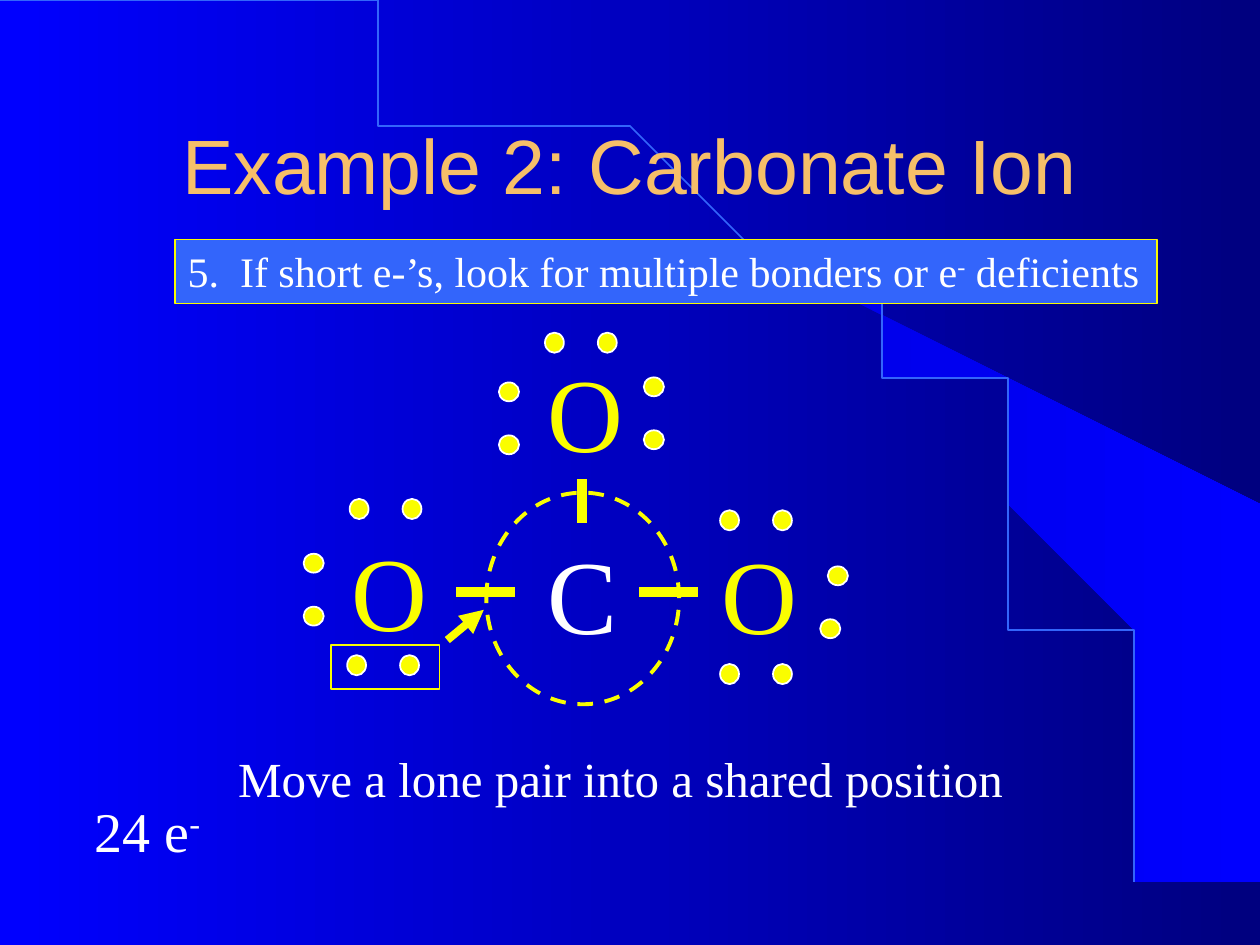
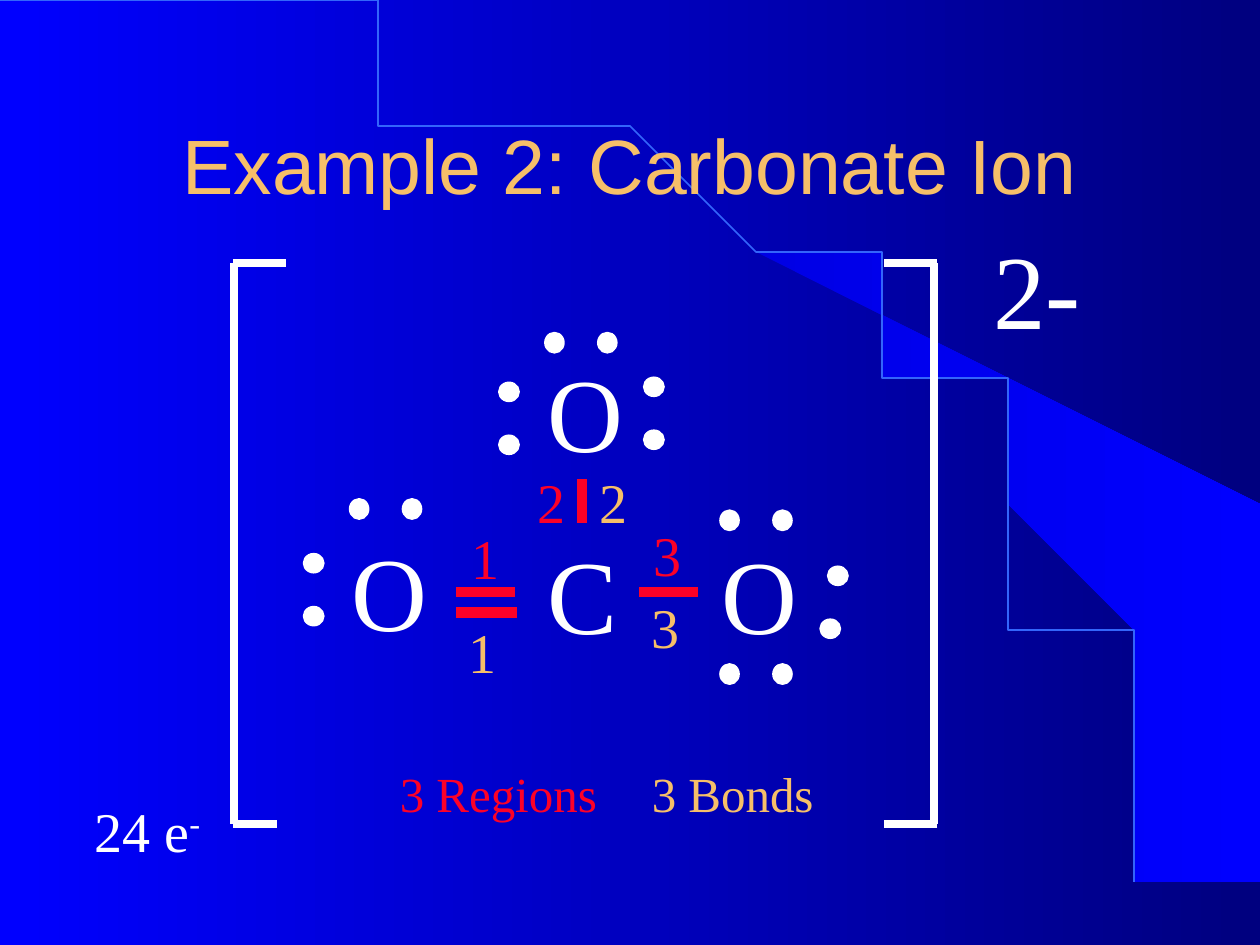
"""Build two slides on the Lewis structure of the carbonate ion."""
import pptx
import pptx.dml.color
import pptx.enum.dml
import pptx.enum.shapes
import pptx.enum.text
import pptx.oxml.ns
import pptx.util
from lxml import etree

WIDE, HIGH = 10, 7.5
WHITE, YELLOW, RED, GOLD, SKY = "FFFFFF", "FAFD00", "FC0128", "F6BF69", "3365FB"
BACK, SWOOSH = ("0000FF", "00007F"), ("0000E5", "0000FF")
SERIF, SANS = "Times New Roman", "Arial"

TITLE = "Example 2: Carbonate Ion"
COUNT = [("24 e", WHITE, 0), ("-", WHITE, 30)]
RULE = [("5.  If short e-’s, look for multiple bonders or e", WHITE, 0),
        ("-", WHITE, 30), (" deficients", WHITE, 0)]
MOVE = "Move a lone pair into a shared position"
TOTAL = [("3 Regions\t", RED, 0), ("3 Bonds", GOLD, 0)]

OXYGENS = [(2.47, 4.13), (5.41, 4.15), (4.03, 2.71)]
CARBON = (4, 4.15)
BONDS = [(3.62, 4.7, 4.09, 4.7), (5.07, 4.7, 5.54, 4.7), (4.62, 4.15, 4.62, 3.8)]
SECOND = (3.62, 4.86, 4.1, 4.86)
STEP = 0.42
FLAT = [(4.4, 2.72), (5.79, 5.35), (5.79, 4.13), (2.85, 4.04)]
SPARE = (2.83, 5.28)
TALL = [(5.19, 3.07, 0), (4.04, 3.11, 0), (2.49, 4.47, 0), (6.65, 4.57, -0.06)]
TOP, FOOT = 2.09, 6.54
BRACKETS = [(1.86, 1.85, 2.27, 2.2), (7.41, 7.44, 7.02, 7.02)]
LABELS = [("1", RED, 3.64, 4.11), ("2", RED, 4.17, 3.66), ("3", RED, 5.09, 4.08),
          ("1", GOLD, 3.62, 4.85), ("2", GOLD, 4.66, 3.66), ("3", GOLD, 5.07, 4.65)]
FIN = [(9.2, 7.48), (9.99, 7.49), (9.99, 4.23), (5.89, 1.73), (6.24, 1.99),
       (6.53, 2.22), (6.85, 2.5), (7.16, 2.8), (7.62, 3.3), (8.03, 3.84),
       (8.32, 4.31), (8.58, 4.79), (8.78, 5.28), (8.93, 5.72), (9.03, 6.09),
       (9.13, 6.56), (9.17, 6.96)]
ARC = [(0.01, 0.02), (5.08, 0.02), (9.18, 3.37), (9.18, 7.49)]

INCH, PT = pptx.util.Inches, pptx.util.Pt
KIND = pptx.enum.shapes.MSO_SHAPE
ALIGN, ANCHOR = pptx.enum.text.PP_ALIGN, pptx.enum.text.MSO_ANCHOR
FIT = pptx.enum.text.MSO_AUTO_SIZE.SHAPE_TO_FIT_TEXT
DASH = pptx.enum.dml.MSO_LINE.DASH


def hue(code):
    return pptx.dml.color.RGBColor.from_string(code)


def blend(fill, ends):
    fill.gradient()
    fill.gradient_angle = 0
    for stop, code in zip(fill.gradient_stops, ends):
        stop.color.rgb = hue(code)


def paint(form, fill=None, edge=None, wide=1):
    form.shadow.inherit = False
    if fill:
        form.fill.solid()
        form.fill.fore_color.rgb = hue(fill)
    else:
        form.fill.background()
    if edge:
        form.line.color.rgb = hue(edge)
        form.line.width = PT(wide)
    else:
        form.line.fill.background()
    return form


def shape(page, kind, box, fill=None, edge=None, wide=1):
    return paint(page.shapes.add_shape(kind, *map(INCH, box)), fill, edge, wide)


def write(form, runs, size, code=WHITE, face=SERIF, mid=True, wrap=True):
    frame = form.text_frame
    frame.word_wrap = wrap
    frame.auto_size = FIT
    frame.vertical_anchor = ANCHOR.TOP
    para = frame.paragraphs[0]
    para.alignment = ALIGN.CENTER if mid else ALIGN.LEFT
    para.font.size, para.font.name = PT(size), face
    for words, tint, lift in [(runs, code, 0)] if isinstance(runs, str) else runs:
        run = para.add_run()
        run.text = words
        run.font.color.rgb = hue(tint)
        if lift:
            run._r.get_or_add_rPr().set("baseline", str(lift * 1000))
    return frame


def text(page, box, runs, size, **look):
    return write(page.shapes.add_textbox(*map(INCH, box)), runs, size, **look)


def line(page, ends, code, wide, head=False):
    link = page.shapes.add_connector(
        pptx.enum.shapes.MSO_CONNECTOR.STRAIGHT, *map(INCH, ends))
    link.line.color.rgb = hue(code)
    link.line.width = PT(wide)
    if head:
        tip = etree.SubElement(link.line._get_or_add_ln(), pptx.oxml.ns.qn("a:tailEnd"))
        tip.set("type", "triangle")
    etree.SubElement(link._element.spPr, pptx.oxml.ns.qn("a:effectLst"))


def trace(page, spots, close):
    pen = page.shapes.build_freeform(*spots[0], scale=INCH(1))
    pen.add_line_segments(spots[1:], close=close)
    return pen.convert_to_shape()


def curve(t):
    parts = ((1 - t) ** 3, 3 * t * (1 - t) ** 2, 3 * t * t * (1 - t), t ** 3)
    return tuple(sum(p * spot[i] for p, spot in zip(parts, ARC)) for i in (0, 1))


def dots(page, x, y, dx, dy, fill):
    wide, high = (0.16, 0.15) if dy else (0.15, 0.16)
    for n in (0, 1):
        box = (x + n * dx - wide / 2, y + n * dy - high / 2, wide, high)
        shape(page, KIND.OVAL, box, fill, WHITE)


def start(deck):
    page = deck.slides.add_slide(deck.slide_layouts[6])
    blend(page.background.fill, BACK)
    blend(paint(trace(page, FIN, True)).fill, SWOOSH)
    paint(trace(page, [curve(n / 60) for n in range(61)], False), edge=SKY)
    frame = text(page, (0.75, 0.67, 8.5, 1.25), TITLE, 44, code=GOLD, face=SANS)
    frame.auto_size = pptx.enum.text.MSO_AUTO_SIZE.NONE
    frame.vertical_anchor = ANCHOR.MIDDLE
    return page


def ion(page, atom, bond):
    for spot, sign, code in [(CARBON, "C", WHITE)] + [(o, "O", atom) for o in OXYGENS]:
        text(page, (*spot, 1.24, 1.1), sign, 60, code=code)
    for ends in BONDS:
        line(page, ends, bond, 6)
    for x, y in FLAT:
        dots(page, x, y, STEP, 0, atom)
    for x, y, lean in TALL:
        dots(page, x, y, lean, STEP, atom)
    text(page, (0.42, 6.27, 1.5, 0.63), COUNT, 32)


def shift(deck):
    page = start(deck)
    bar = shape(page, KIND.RECTANGLE, (1.39, 1.9, 7.79, 0.51), SKY, YELLOW)
    write(bar, RULE, 24, mid=False, wrap=False)
    ion(page, YELLOW, YELLOW)
    dots(page, *SPARE, STEP, 0, YELLOW)
    ring = shape(page, KIND.OVAL, (3.86, 3.91, 1.53, 1.68), None, YELLOW, 2.25)
    ring.line.dash_style = DASH
    text(page, (1.37, 5.89, 7.11, 0.57), MOVE, 28)
    shape(page, KIND.RECTANGLE, (2.63, 5.12, 0.86, 0.35), None, YELLOW)
    line(page, (3.55, 5.08, 3.84, 4.84), YELLOW, 4.5, head=True)


def final(deck):
    page = start(deck)
    ion(page, WHITE, RED)
    line(page, SECOND, RED, 6)
    for x, near, top, foot in BRACKETS:
        for ends in ((x, TOP, x, FOOT), (near, TOP, top, TOP), (near, FOOT, foot, FOOT)):
            line(page, ends, WHITE, 4.5)
    text(page, (7.61, 1.73, 1.24, 1.1), "2-", 60)
    text(page, (2.83, 6.01, 3.97, 0.57), TOTAL, 28)
    for sign, code, x, y in LABELS:
        text(page, (x, y, 0.53, 0.63), sign, 32, code=code, mid=False)


def main():
    deck = pptx.Presentation()
    deck.slide_width, deck.slide_height = INCH(WIDE), INCH(HIGH)
    shift(deck)
    final(deck)
    deck.save("out.pptx")


if __name__ == "__main__":
    main()
